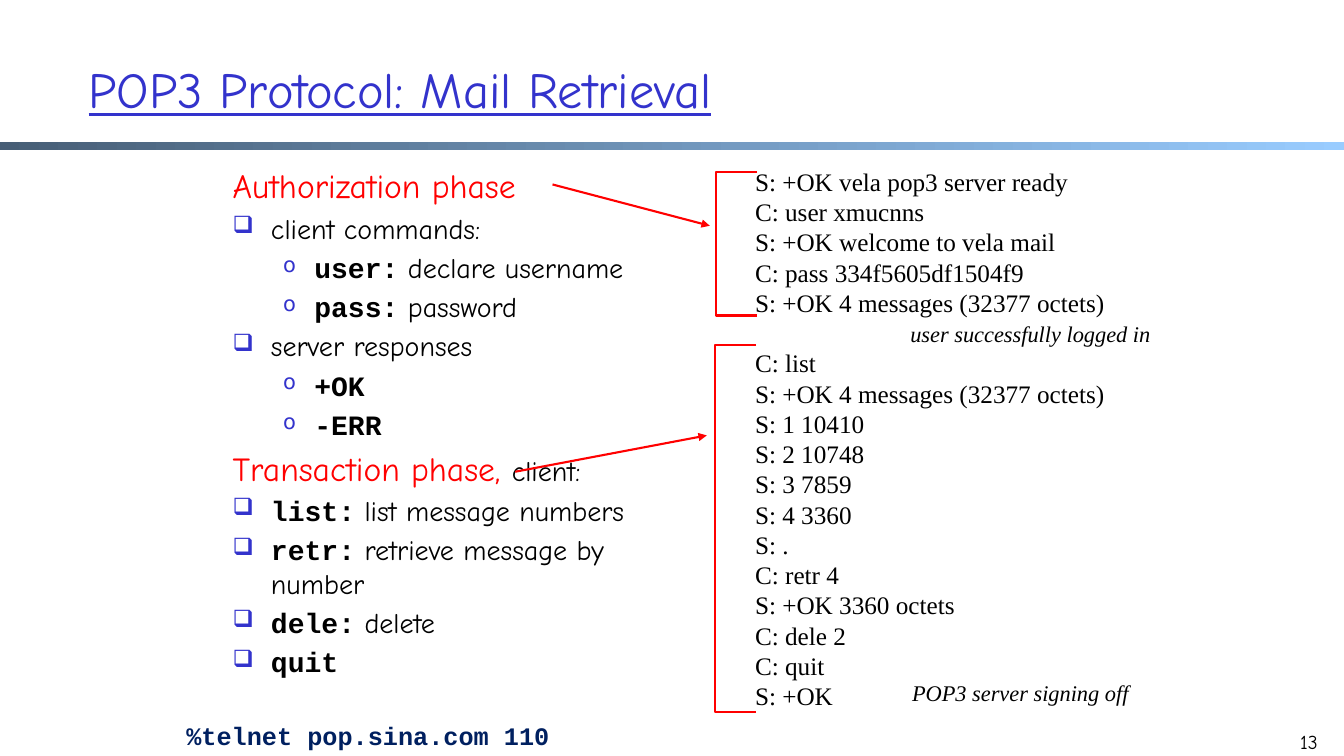
from lxml import etree
from pptx import Presentation
from pptx.dml.color import RGBColor
from pptx.enum.shapes import MSO_CONNECTOR, MSO_SHAPE
from pptx.enum.text import MSO_ANCHOR, PP_ALIGN
from pptx.oxml.ns import qn
from pptx.util import Inches, Pt

RECT, STRAIGHT = MSO_SHAPE.RECTANGLE, MSO_CONNECTOR.STRAIGHT
TOP, MIDDLE = MSO_ANCHOR.TOP, MSO_ANCHOR.MIDDLE
LEFT, CENTER, RIGHT = PP_ALIGN.LEFT, PP_ALIGN.CENTER, PP_ALIGN.RIGHT

BLACK = RGBColor(0x00, 0x00, 0x00)
BLUE = RGBColor(0x33, 0x33, 0xCC)
RED = RGBColor(0xFF, 0x00, 0x00)
NAVY = RGBColor(0x00, 0x20, 0x60)
SLATE = RGBColor(0x47, 0x5E, 0x76)
SKY = RGBColor(0x99, 0xCC, 0xFF)

COMIC, MONO, SERIF = "Comic Neue", "Courier New", "Times New Roman"

# Levels: left margin, hanging indent, bullet, bullet size in percent
HEAD = (0.38, 0.38, None, None)
ITEM = (0.38, 0.38, "❑", 85)
SUB = (0.81, 0.31, "o", 75)

# Outline: level, red heading, bold command, plain words
OUTLINE = [
    (HEAD, "Authorization phase", "", ""),
    (ITEM, "", "", "client commands:"),
    (SUB, "", "user:", " declare username"),
    (SUB, "", "pass:", " password"),
    (ITEM, "", "", "server responses"),
    (SUB, "", "+OK", ""),
    (SUB, "", "-ERR", ""),
    (HEAD, "Transaction phase, ", "", "client:"),
    (ITEM, "", "list:", " list message numbers"),
    (ITEM, "", "retr:", " retrieve message by number"),
    (ITEM, "", "dele:", " delete"),
    (ITEM, "", "quit", ""),
]

LOGIN = [
    "S: +OK vela pop3 server ready",
    "C: user xmucnns",
    "S: +OK welcome to vela mail",
    "C: pass 334f5605df1504f9",
    "S: +OK 4 messages (32377 octets)",
]
MAIL = [
    "C: list",
    "S: +OK 4 messages (32377 octets)",
    "S: 1 10410",
    "S: 2 10748",
    "S: 3 7859",
    "S: 4 3360",
    "S: .",
    "C: retr 4",
    "S: +OK 3360 octets",
    "C: dele 2",
    "C: quit",
    "S: +OK",
]


class Board:
    """Holds the line style and the current slide."""

    def __init__(self, slide, color, width):
        self.shapes = slide.shapes
        self.color, self.width = color, Pt(width)

    def band(self, x, y, w, h, start, end):
        bar = self.shapes.add_shape(RECT, Inches(x), Inches(y), Inches(w), Inches(h))
        bar.shadow.inherit = False
        bar.line.fill.background()
        bar.fill.gradient()
        bar.fill.gradient_angle = 0
        for stop, color in zip(bar.fill.gradient_stops, (start, end)):
            stop.color.rgb = color

    def box(self, x, y, w, h, anchor=TOP, wrap=True):
        area = self.shapes.add_textbox(Inches(x), Inches(y), Inches(w), Inches(h))
        frame = area.text_frame
        frame.word_wrap = wrap
        frame.vertical_anchor = anchor
        return frame

    def para(self, frame, first, align=LEFT):
        para = frame.paragraphs[0] if first else frame.add_paragraph()
        para.alignment = align
        return para

    def run(self, para, text, size, name, color=BLACK, **marks):
        run = para.add_run()
        run.text = text
        font = run.font
        font.size, font.name = Pt(size), name
        font.color.rgb = color
        font.bold = marks.get("bold", False)
        font.italic = marks.get("italic", False)
        font.underline = marks.get("under", False)

    def label(self, place, text, size, name, color=BLACK,
              align=LEFT, anchor=TOP, wrap=True, **marks):
        frame = self.box(*place, anchor, wrap)
        self.run(self.para(frame, True, align), text, size, name, color, **marks)

    def bullet(self, para, margin, hang, char, size):
        props = para._p.get_or_add_pPr()
        props.set("marL", str(Inches(margin)))
        props.set("indent", str(-Inches(hang)))
        if not char:
            etree.SubElement(props, qn("a:buNone"))
            return
        tint = etree.SubElement(props, qn("a:buClr"))
        etree.SubElement(tint, qn("a:srgbClr"), val=str(BLUE))
        etree.SubElement(props, qn("a:buSzPct"), val=str(size * 1000))
        etree.SubElement(props, qn("a:buChar"), char=char)

    def bracket(self, x, y, w, h):
        left, top, right, base = (Inches(n) for n in (x, y, x + w, y + h))
        pen = self.shapes.build_freeform(right, top)
        pen.add_line_segments([(left, top), (left, base), (right, base)], close=False)
        shape = pen.convert_to_shape()
        shape.shadow.inherit = False
        shape.fill.background()
        self.stroke(shape.line)

    def arrow(self, *ends):
        link = self.shapes.add_connector(STRAIGHT, *(Inches(n) for n in ends))
        self.stroke(link.line)
        props = link._element.spPr
        etree.SubElement(props.find(qn("a:ln")), qn("a:tailEnd"), type="triangle")
        etree.SubElement(props, qn("a:effectLst"))

    def stroke(self, line):
        line.color.rgb = self.color
        line.width = self.width


def main():
    deck = Presentation()
    deck.slide_width, deck.slide_height = Inches(13.33), Inches(7.5)
    board = Board(deck.slides.add_slide(deck.slide_layouts[6]), RED, 1.5)

    # Header and page number
    board.band(0, 1.41, 13.33, 0.08, SLATE, SKY)
    board.label((12.5, 7.19, 0.67, 0.5), "13", 14, COMIC, align=RIGHT)
    board.label((0.78, 0.25, 11.33, 1.25), "POP3 Protocol: Mail Retrieval",
                36, COMIC, BLUE, anchor=MIDDLE, under=True)

    # Outline of the two phases
    frame = board.box(2.21, 1.57, 4.34, 5.67)
    frame.margin_top = Inches(0.07)
    for i, (level, head, code, words) in enumerate(OUTLINE):
        para = board.para(frame, i == 0)
        board.bullet(para, *level)
        if i:
            para.space_before = Pt(4.8 if head else 4)
        if head:
            board.run(para, head, 24, COMIC, RED)
        if code:
            board.run(para, code, 20, MONO, bold=True)
        if words:
            board.run(para, words, 20, COMIC)

    # Brackets, each with the arrow from its phase
    board.bracket(7.1, 1.71, 0.41, 1.42)
    board.arrow(5.48, 1.83, 7.04, 2.24)
    board.bracket(7.09, 3.42, 0.41, 3.64)
    board.arrow(5.11, 4.68, 7.01, 4.32)

    # Session transcript, with a one-line gap after login
    board.label((1.75, 7.1, 3.97, 0.4), "%telnet pop.sina.com 110",
                18, MONO, NAVY, wrap=False, bold=True)
    frame = board.box(7.39, 1.6, 4.08, 5.55)
    for i, text in enumerate(LOGIN + MAIL):
        para = board.para(frame, i == 0)
        para.line_spacing = Pt(21.6)
        if i == len(LOGIN):
            para.space_before = Pt(21.6)
        board.run(para, text, 18, SERIF)

    # Remarks
    for x, y, text in [(8.78, 6.69, "POP3 server signing off"),
                       (8.88, 3.13, "user successfully logged in")]:
        board.label((x, y, 2.68, 0.37), text, 16, SERIF, align=CENTER, italic=True)

    deck.save("out.pptx")


if __name__ == "__main__":
    main()
